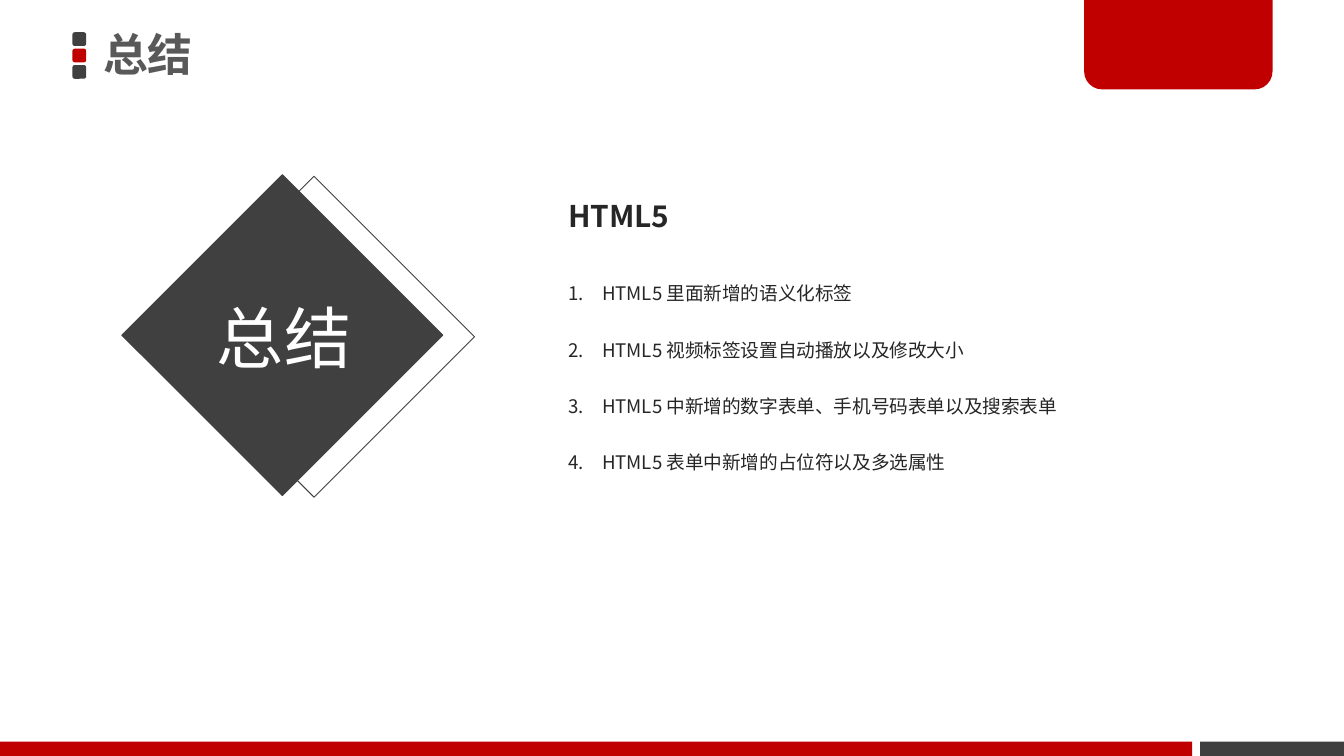
from dataclasses import dataclass
from typing import Optional

from lxml.etree import SubElement
from pptx import Presentation
from pptx.dml.color import RGBColor
from pptx.enum.shapes import MSO_SHAPE as Preset
from pptx.enum.text import MSO_ANCHOR as Anchor, MSO_AUTO_SIZE as AutoSize, PP_ALIGN as Align
from pptx.oxml.ns import qn
from pptx.util import Cm, Pt

FONT = "Noto Sans CJK SC"
RED, DARK, GREY, INK, WHITE = "C00000", "404040", "595959", "262626", "FFFFFF"
INDENT = Cm(0.64)
ITEMS = (
    "HTML5 里面新增的语义化标签",
    "HTML5 视频标签设置自动播放以及修改大小",
    "HTML5 中新增的数字表单、手机号码表单以及搜索表单",
    "HTML5 表单中新增的占位符以及多选属性",
)


@dataclass(frozen=True)
class Box:
    left: float
    top: float
    width: float
    height: float

    def lengths(self) -> tuple:
        return Cm(self.left), Cm(self.top), Cm(self.width), Cm(self.height)


@dataclass(frozen=True)
class Block:
    box: Box
    preset: Preset = Preset.RECTANGLE
    fill: Optional[str] = None
    line: Optional[str] = None
    rotation: float = 0
    adjustments: tuple = ()


@dataclass(frozen=True)
class TextStyle:
    size: float
    color: str
    bold: bool = False
    align: Align = Align.LEFT
    spacing: float = 1.0


def color(value: str) -> RGBColor:
    return RGBColor.from_string(value)


def draw_block(slide, block: Block) -> None:
    shape = slide.shapes.add_shape(block.preset, *block.box.lengths())
    shape.shadow.inherit = False
    shape.rotation = block.rotation
    for index, value in enumerate(block.adjustments):
        shape.adjustments[index] = value
    if block.fill:
        shape.fill.solid()
        shape.fill.fore_color.rgb = color(block.fill)
    else:
        shape.fill.background()
    if block.line:
        shape.line.color.rgb = color(block.line)
        shape.line.width = Pt(0.5)
    else:
        shape.line.fill.background()


def prepare_frame(shape, box: Box, anchor: Anchor, margins: tuple):
    shape.left, shape.top, shape.width, shape.height = box.lengths()
    frame = shape.text_frame
    frame.word_wrap = True
    frame.auto_size = AutoSize.NONE
    frame.vertical_anchor = anchor
    frame.margin_left = frame.margin_right = Cm(margins[0])
    frame.margin_top = frame.margin_bottom = Cm(margins[1])
    return frame


def write(paragraph, text: str, style: TextStyle) -> None:
    paragraph.alignment = style.align
    paragraph.line_spacing = style.spacing
    paragraph.space_before = paragraph.space_after = Pt(0)
    run = paragraph.add_run()
    run.text = text
    run.font.size = Pt(style.size)
    run.font.bold = style.bold
    run.font.color.rgb = color(style.color)
    run.font.name = FONT
    SubElement(run.font._element, qn("a:ea"), typeface=FONT)


def number(paragraph) -> None:
    properties = paragraph._p.get_or_add_pPr()
    properties.set("marL", str(INDENT))
    properties.set("indent", str(-INDENT))
    bullet_color = SubElement(properties, qn("a:buClr"))
    SubElement(bullet_color, qn("a:srgbClr"), val=INK)
    SubElement(properties, qn("a:buFont"), typeface=FONT)
    SubElement(properties, qn("a:buAutoNum"), type="arabicPeriod")


def main() -> None:
    presentation = Presentation()
    presentation.slide_width, presentation.slide_height = Cm(25.4), Cm(14.29)
    slide = presentation.slides.add_slide(presentation.slide_layouts[1])
    title, body = slide.placeholders

    # Title marker, corner tab and footer bars
    blocks = [
        Block(Box(1.37, 0.61 + 0.31 * row, 0.26, 0.26), Preset.ROUNDED_RECTANGLE, fill,
              adjustments=(0.17,))
        for row, fill in enumerate((DARK, RED, DARK))
    ]
    blocks += [
        Block(Box(20.49, 0, 3.56, 1.69), Preset.ROUND_2_SAME_RECTANGLE, RED,
              adjustments=(0, 0.2)),
        Block(Box(0, 14.02, 22.53, 0.27), fill=RED),
        Block(Box(22.68, 14.02, 2.72, 0.27), fill=DARK),
        # Diamonds: outline behind, solid in front
        Block(Box(3.79, 4.22, 4.29, 4.29), line=DARK, rotation=45),
        Block(Box(3.19, 4.19, 4.29, 4.29), fill=DARK, line=DARK, rotation=45),
    ]
    for block in blocks:
        draw_block(slide, block)

    # Slide title
    frame = prepare_frame(title, Box(1.75, -0.05, 10.95, 2.26), Anchor.MIDDLE, (0.2, 0.1))
    write(frame.paragraphs[0], "总结", TextStyle(24, GREY, bold=True, spacing=0.9))

    # Diamond label
    label_box = Box(0.05, 5.33, 10.64, 2.26)
    label = slide.shapes.add_textbox(*label_box.lengths())
    frame = prepare_frame(label, label_box, Anchor.MIDDLE, (0.2, 0.1))
    write(frame.paragraphs[0], "总结", TextStyle(36, WHITE, align=Align.CENTER, spacing=0.9))

    # Heading above the list
    heading_box = Box(10.49, 3.61, 9.8, 0.94)
    heading = slide.shapes.add_textbox(*heading_box.lengths())
    frame = prepare_frame(heading, heading_box, Anchor.TOP, (0.25, 0.13))
    write(frame.paragraphs[0], "HTML5", TextStyle(16, INK, bold=True))

    # Numbered list
    frame = prepare_frame(body, Box(10.49, 4.57, 11.33, 4.5), Anchor.TOP, (0.25, 0.13))
    for index, item in enumerate(ITEMS):
        paragraph = frame.add_paragraph() if index else frame.paragraphs[0]
        write(paragraph, item, TextStyle(10, INK, spacing=2.5))
        number(paragraph)

    presentation.save("out.pptx")


if __name__ == "__main__":
    main()
